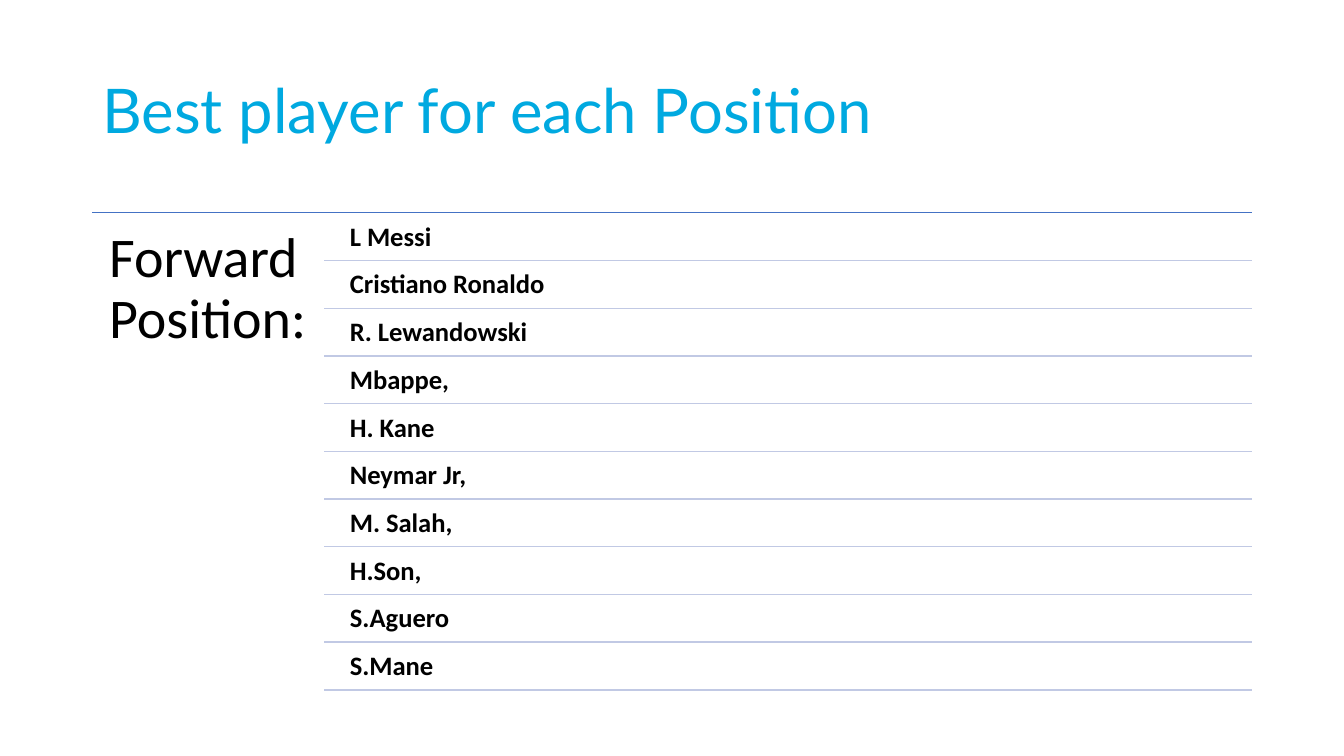
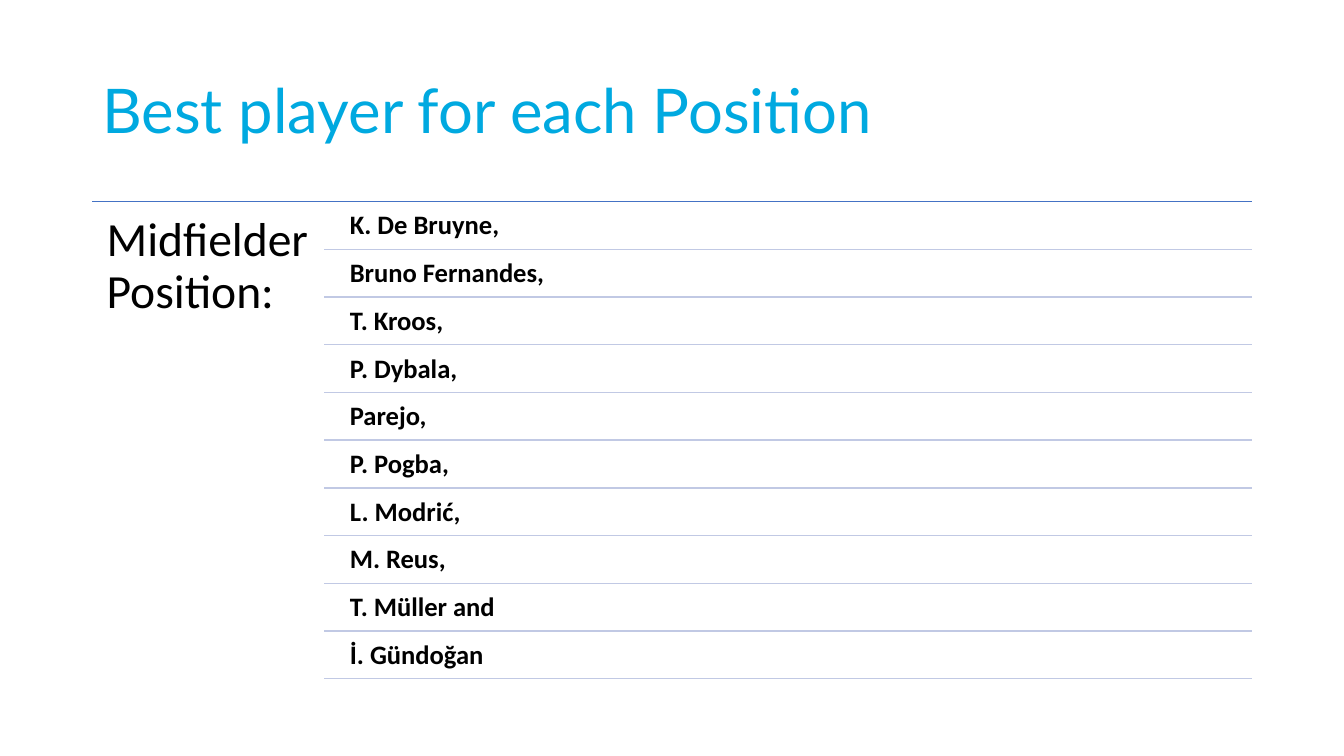
"""Build two slides that list the best football players for each position."""
from dataclasses import dataclass

from lxml import etree
from pptx import Presentation
from pptx import slide as sl
from pptx.dml.color import RGBColor
from pptx.enum import shapes, text
from pptx.oxml import ns
from pptx.util import Pt


@dataclass(frozen=True)
class TextStyle:
    font: str
    size: float
    color: RGBColor
    bold: bool = False


@dataclass(frozen=True)
class Theme:
    accent: RGBColor = RGBColor(0x00, 0xA9, 0xE0)
    ink: RGBColor = RGBColor(0x00, 0x00, 0x00)
    top_rule: RGBColor = RGBColor(0x44, 0x72, 0xC4)
    row_rule: RGBColor = RGBColor(0xC1, 0xC9, 0xE4)
    title_font: str = "Lato"
    body_font: str = "Calibri"
    title_size: float = 44
    name_size: float = 19
    rule_width: float = 1
    line_spacing: float = 0.9


@dataclass(frozen=True)
class Area:
    left: float
    top: float
    width: float
    height: float


@dataclass(frozen=True)
class PositionList:
    label: str
    label_size: float
    label_inset: float
    top: float
    players: tuple[str, ...]


THEME = Theme()
TITLE = "Best player for each Position"
LEFT, RIGHT = 66, 894
LABEL_WIDTH, LABEL_HEIGHT = 165.6, 342.7
ROWS_LEFT = LEFT + LABEL_WIDTH
NAME_LEFT = 244.1
ROW_PITCH, ROW_GAP = 34.08, 1.62
NAME_INSET = 5.8

LISTS = (
    PositionList("Forward Position:", 40, 12, 152, (
        "L Messi", "Cristiano Ronaldo", "R. Lewandowski", "Mbappe,", "H. Kane",
        "Neymar Jr,", "M. Salah,", "H.Son,", "S.Aguero", "S.Mane")),
    PositionList("Midfielder Position:", 34, 10.2, 144, (
        "K. De Bruyne,", "Bruno Fernandes,", "T. Kroos,", "P. Dybala,", "Parejo,",
        "P. Pogba,", "L. Modrić,", "M. Reus,", "T. Müller and", "İ. Gündoğan")),
)


def add_text(page: sl.Slide, area: Area, words: str, style: TextStyle,
             inset_x: float, inset_y: float,
             anchor: text.MSO_ANCHOR = text.MSO_ANCHOR.TOP) -> None:
    """Place one wrapped paragraph in a text box."""
    box = page.shapes.add_textbox(
        Pt(area.left), Pt(area.top), Pt(area.width), Pt(area.height))
    frame = box.text_frame
    frame.word_wrap = True
    frame.vertical_anchor = anchor
    frame.margin_left = frame.margin_right = Pt(inset_x)
    frame.margin_top = frame.margin_bottom = Pt(inset_y)
    para = frame.paragraphs[0]
    para.text = words
    para.line_spacing = THEME.line_spacing
    para.font.name = style.font
    para.font.size = Pt(style.size)
    para.font.bold = style.bold
    para.font.color.rgb = style.color


def add_rule(page: sl.Slide, left: float, top: float, color: RGBColor) -> None:
    """Draw a horizontal rule that runs to the right margin."""
    rule = page.shapes.add_connector(
        shapes.MSO_CONNECTOR.STRAIGHT, Pt(left), Pt(top), Pt(RIGHT), Pt(top))
    rule.line.color.rgb = color
    rule.line.width = Pt(THEME.rule_width)
    etree.SubElement(rule._element.spPr, ns.qn("a:effectLst"))


def add_title(page: sl.Slide) -> None:
    """Add the shared slide title."""
    style = TextStyle(THEME.title_font, THEME.title_size, THEME.accent)
    add_text(page, Area(LEFT, 28.8, RIGHT - LEFT, 104.4), TITLE, style,
             7.2, 3.6, text.MSO_ANCHOR.MIDDLE)


def add_position_list(page: sl.Slide, group: PositionList) -> None:
    """Add the position label and its ruled rows of players."""
    add_rule(page, LEFT, group.top, THEME.top_rule)
    label_style = TextStyle(THEME.body_font, group.label_size, THEME.ink)
    add_text(page, Area(LEFT, group.top, LABEL_WIDTH, LABEL_HEIGHT), group.label,
             label_style, group.label_inset, group.label_inset)
    name_style = TextStyle(THEME.body_font, THEME.name_size, THEME.ink, bold=True)
    for row, player in enumerate(group.players):
        row_top = group.top + row * ROW_PITCH
        area = Area(NAME_LEFT, row_top + ROW_GAP, RIGHT - NAME_LEFT,
                    ROW_PITCH - ROW_GAP)
        add_text(page, area, player, name_style, NAME_INSET, NAME_INSET)
        add_rule(page, ROWS_LEFT, row_top + ROW_PITCH, THEME.row_rule)


def main() -> None:
    """Build and save the deck."""
    deck = Presentation()
    deck.slide_width, deck.slide_height = Pt(960), Pt(540)
    blank = deck.slide_layouts[6]
    for group in LISTS:
        page = deck.slides.add_slide(blank)
        add_title(page)
        add_position_list(page, group)
    deck.save("out.pptx")


if __name__ == "__main__":
    main()
